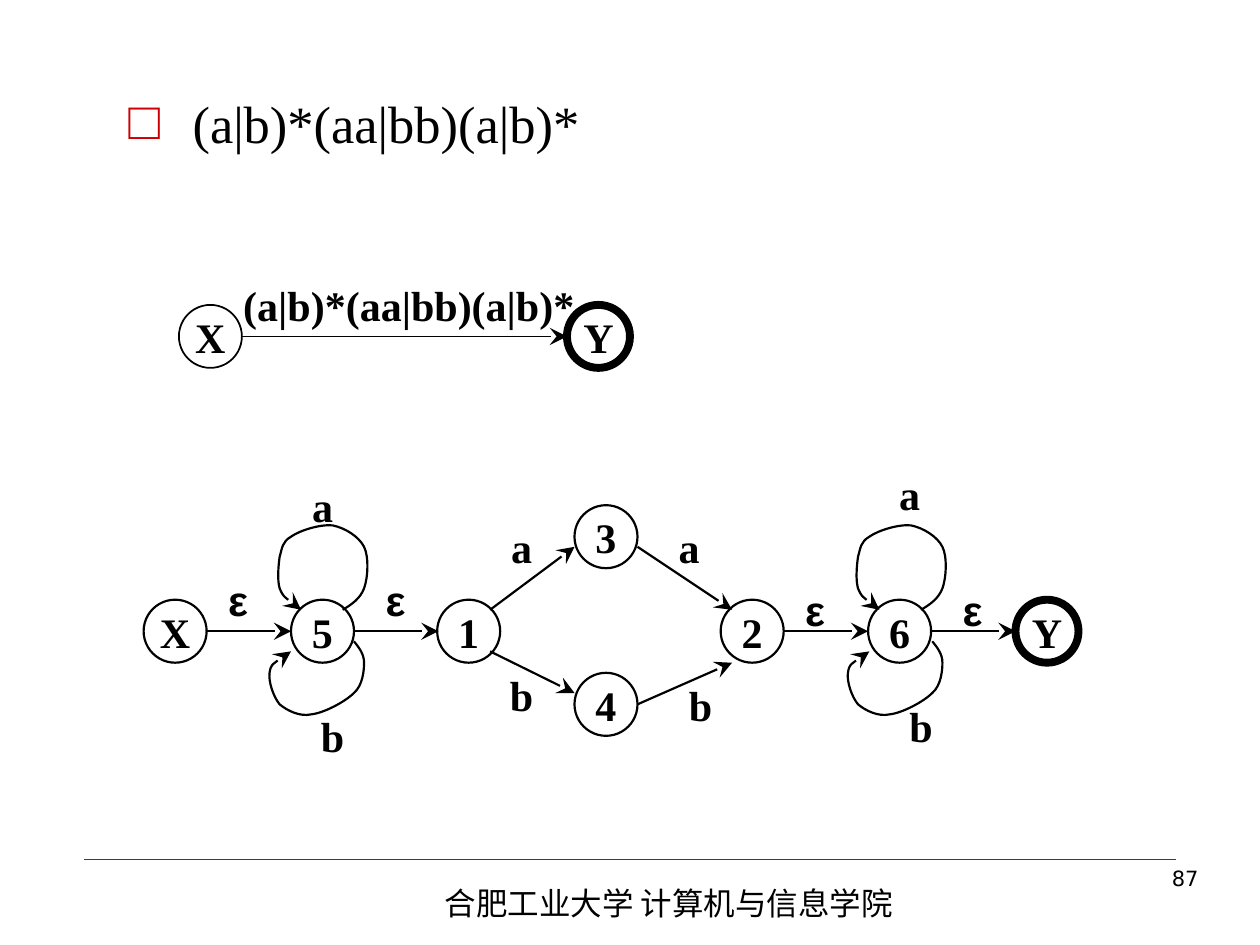
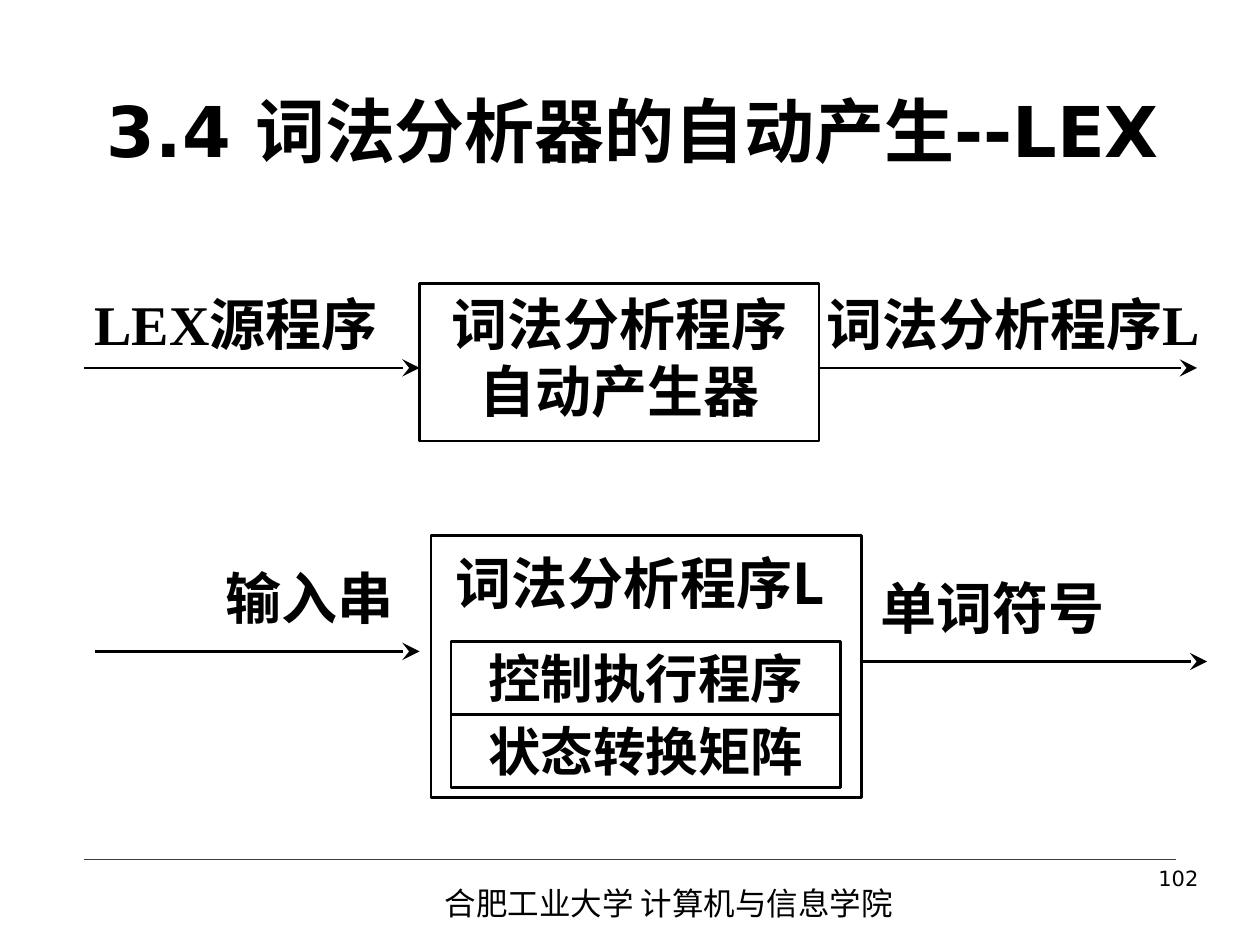
from pptx import Presentation
from pptx.dml.color import RGBColor
from pptx.enum.shapes import MSO_CONNECTOR as Link, MSO_SHAPE as Kind
from pptx.enum.text import MSO_ANCHOR as Anchor, PP_ALIGN as Align
from pptx.oxml.ns import qn
from pptx.util import Inches, Pt
from lxml.etree import SubElement

BLACK = RGBColor(0, 0, 0)
RED = RGBColor(0xCC, 0, 0)
TIMES = "Times New Roman"
NOTO = "Noto Sans CJK SC"
SANS = "DejaVu Sans"


def put(slide, text, box, size, font, bold=True, align=Align.CENTER,
        anchor=Anchor.TOP, wrap=True, kind=None, width=None):
    at = [Inches(v) for v in box]
    if kind is None:
        shape = slide.shapes.add_textbox(*at)
    else:
        shape = slide.shapes.add_shape(kind, *at)
        shape.shadow.inherit = False
        shape.fill.background()
        if width:
            shape.line.color.rgb = BLACK
            shape.line.width = Pt(width)
        else:
            shape.line.fill.background()
    frame = shape.text_frame
    frame.word_wrap = wrap
    frame.vertical_anchor = anchor
    frame.text = text
    para = frame.paragraphs[0]
    para.alignment = align
    run = para.runs[0]
    run.font.size = Pt(size)
    run.font.name = font
    run.font.bold = bold
    run.font.color.rgb = BLACK
    SubElement(run.font._element, qn("a:ea"), typeface=NOTO)
    return para


def stroke(shape, width, color=BLACK, head=True):
    shape.line.color.rgb = color
    shape.line.width = Pt(width)
    props = shape._element.spPr
    if head:
        SubElement(props.find(qn("a:ln")), qn("a:tailEnd"), type="stealth", w="lg", len="lg")
    SubElement(props, qn("a:effectLst"))


deck = Presentation()
deck.slide_width, deck.slide_height = Inches(10), Inches(7.5)
blank = deck.slide_layouts[6]
auto, lex = [deck.slides.add_slide(blank) for _ in range(2)]

for slide, page in ((auto, "87"), (lex, "102")):
    rule = slide.shapes.add_connector(
        Link.STRAIGHT, Inches(0.67), Inches(6.82), Inches(9.33), Inches(6.82))
    stroke(rule, 0.25, RED, False)
    put(slide, "合肥工业大学 计算机与信息学院", (3.43, 6.97, 4.72, 0.4), 18, NOTO, False, Align.LEFT)
    put(slide, page, (7.44, 6.82, 2.17, 0.52), 12, SANS, False, Align.RIGHT)

topic = put(auto, "(a|b)*(aa|bb)(a|b)*", (0.92, 0.67, 8.5, 0.67), 30, TIMES, False, Align.LEFT)
props = topic._p.get_or_add_pPr()
props.set("marL", str(Inches(0.51)))
props.set("indent", str(-Inches(0.51)))
SubElement(SubElement(props, qn("a:buClr")), qn("a:srgbClr"), val=str(RED))
SubElement(props, qn("a:buFont"), typeface=TIMES)
SubElement(props, qn("a:buChar"), char="□")

nodes = [
    ("X", 1.42, 2.42, 1), ("Y", 4.5, 2.42, 4.5),
    ("X", 1.14, 4.76, 1.25), ("5", 2.31, 4.76, 1.25), ("1", 3.47, 4.76, 1.25),
    ("3", 4.56, 4.01, 1.25), ("4", 4.56, 5.34, 1.25), ("2", 5.72, 4.76, 1.25),
    ("6", 6.89, 4.76, 1.25), ("Y", 8.06, 4.76, 4.5),
]
for name, x, y, width in nodes:
    put(auto, name, (x, y, 0.5, 0.5), 24, TIMES, anchor=Anchor.MIDDLE, wrap=False,
        kind=Kind.OVAL, width=width)

marks = [
    ("(a|b)*(aa|bb)(a|b)*", 2.08, 2.17, 2.33),
    ("ε", 1.64, 4.51, 0.5), ("ε", 2.89, 4.51, 0.5),
    ("ε", 6.22, 4.59, 0.5), ("ε", 7.47, 4.59, 0.5),
    ("a", 2.31, 3.76, 0.5), ("b", 2.39, 5.59, 0.5),
    ("a", 6.97, 3.67, 0.5), ("b", 7.06, 5.51, 0.5),
    ("a", 3.89, 4.09, 0.5), ("b", 3.89, 5.26, 0.5),
    ("a", 5.22, 4.09, 0.5), ("b", 5.31, 5.34, 0.5),
]
for mark, x, y, width in marks:
    font = "Arial" if mark == "ε" else TIMES
    put(auto, mark, (x, y, width, 0.5), 24, font, anchor=Anchor.MIDDLE, wrap=False,
        kind=Kind.RECTANGLE)

arrows = [
    (auto, 1, 1.92, 2.67, 4.5, 2.67),
    (auto, 1.25, 3.89, 4.84, 4.56, 4.34), (auto, 1.25, 3.89, 5.17, 4.56, 5.5),
    (auto, 1.25, 5.06, 4.34, 5.81, 4.84), (auto, 1.25, 5.06, 5.59, 5.81, 5.26),
    (lex, 1.5, 0.67, 2.92, 3.33, 2.92), (lex, 1.5, 6.5, 2.92, 9.5, 2.92),
    (lex, 1.5, 0.75, 5.17, 3.33, 5.17), (lex, 1.5, 6.83, 5.25, 9.58, 5.25),
]
arrows += [(auto, 1.25, x, 5.01, x + 0.67, 5.01) for x in (1.64, 2.81, 6.22, 7.39)]
for slide, width, *ends in arrows:
    arrow = slide.shapes.add_connector(Link.STRAIGHT, *[Inches(v) for v in ends])
    stroke(arrow, width)

upper = [
    (2.72, 4.84), (2.79, 4.8), (2.86, 4.75), (2.89, 4.67), (2.92, 4.59), (2.93, 4.42),
    (2.89, 4.34), (2.85, 4.26), (2.74, 4.19), (2.64, 4.17), (2.54, 4.16), (2.38, 4.21),
    (2.31, 4.26), (2.24, 4.3), (2.24, 4.35), (2.22, 4.42), (2.21, 4.49), (2.2, 4.6),
    (2.22, 4.67), (2.25, 4.74), (2.32, 4.79), (2.39, 4.84),
]
lower = [
    (2.81, 5.09), (2.85, 5.14), (2.89, 5.19), (2.89, 5.26), (2.89, 5.32), (2.88, 5.44),
    (2.81, 5.5), (2.74, 5.57), (2.57, 5.66), (2.47, 5.67), (2.38, 5.69), (2.28, 5.64),
    (2.22, 5.59), (2.17, 5.53), (2.13, 5.41), (2.14, 5.34), (2.15, 5.27), (2.23, 5.22),
    (2.31, 5.17),
]
for shift in (0, 4.59):
    for curve in (upper, lower):
        dots = [(Inches(x + shift), Inches(y)) for x, y in curve]
        pen = auto.shapes.build_freeform(*dots[0])
        pen.add_line_segments(dots[1:], close=False)
        loop = pen.convert_to_shape()
        loop.fill.background()
        stroke(loop, 1.25)
        trace = next(loop._element.iter(qn("a:path")))
        sides = trace.findall(qn("a:lnTo"))
        for i in range(0, len(sides), 3):
            bend = SubElement(trace, qn("a:cubicBezTo"))
            for side in sides[i:i + 3]:
                bend.append(side[0])
                trace.remove(side)

put(lex, "3.4 词法分析器的自动产生--LEX", (0.75, 0.58, 8.58, 0.83), 40, SANS,
    align=Align.LEFT, anchor=Anchor.BOTTOM)
put(lex, "词法分析程序自动产生器", (3.33, 2.25, 3.17, 1.25), 32, TIMES,
    kind=Kind.RECTANGLE, width=1.5)
tool = put(lex, "词法分析程序L", (3.42, 4.25, 3.42, 2.08), 32, NOTO, align=Align.JUSTIFY,
           kind=Kind.RECTANGLE, width=1.5)
tool.line_spacing = 1.1
tool._p.get_or_add_pPr().set("marL", str(Inches(0.1)))

flows = [
    ("LEX源程序", 0.5, 2.25, 2.75, TIMES), ("词法分析程序L", 6.33, 2.25, 3.42, TIMES),
    ("输入串", 1.08, 4.42, 2.75, NOTO), ("单词符号", 6.5, 4.5, 2.75, NOTO),
]
for text, x, y, width, font in flows:
    put(lex, text, (x, y, width, 0.67), 32, font)
for i, text in enumerate(("控制执行程序", "状态转换矩阵")):
    put(lex, text, (3.58, 5.09 + 0.58 * i, 3.09, 0.58), 30, NOTO, anchor=Anchor.MIDDLE,
        wrap=False, kind=Kind.RECTANGLE, width=1.5)

deck.save("out.pptx")
